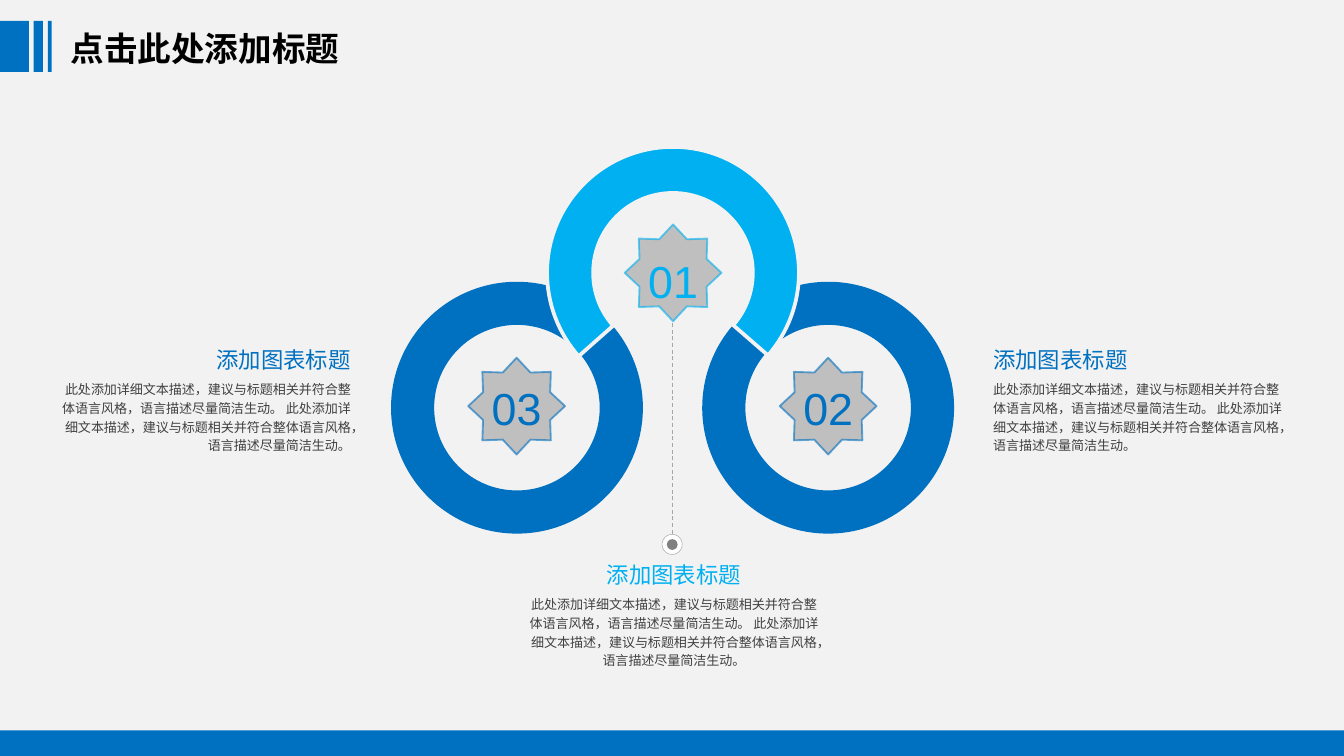
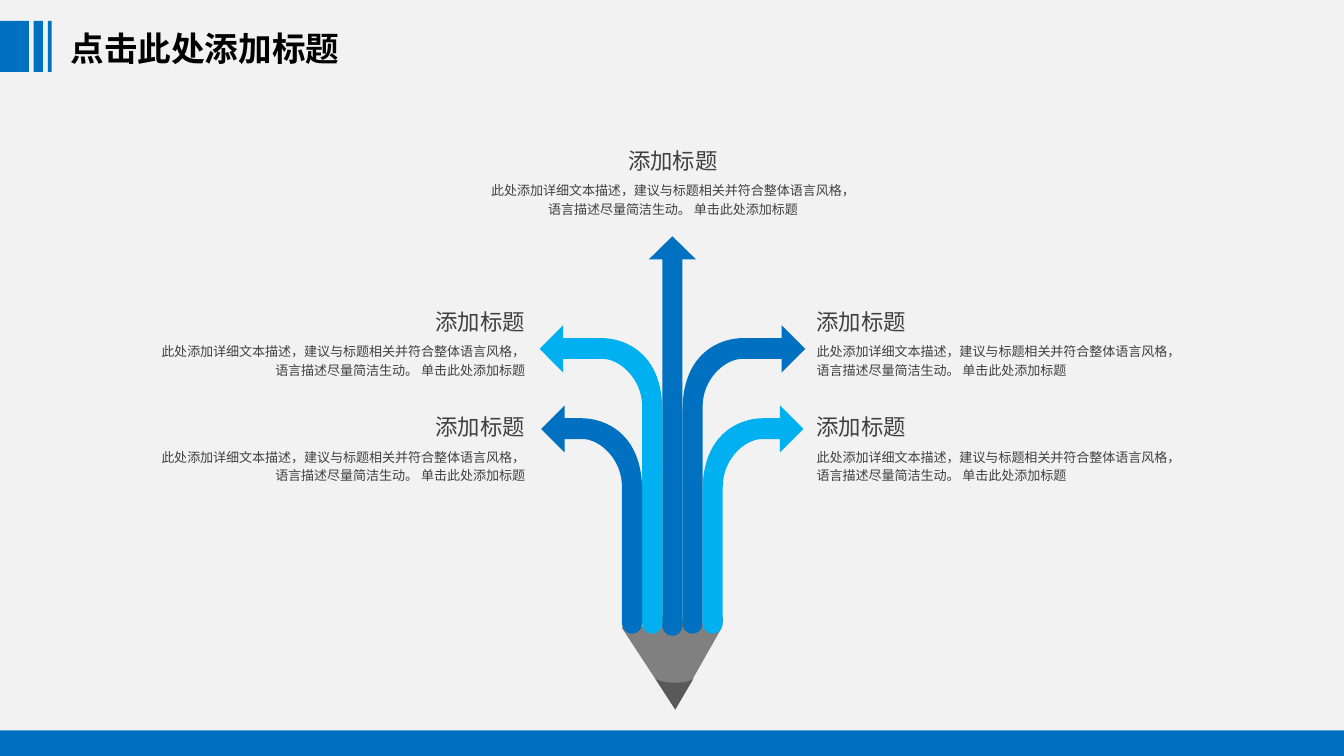
import math

from pptx import Presentation
from pptx import util as u
from pptx.dml import color as colors
from pptx.enum import dml, shapes, text
from pptx.oxml import ns
from lxml import etree

PX = 9144  # EMU per px, 100 px to the inch
WIDTH, HEIGHT = 1000, 562.5
MIDDLE = 500.3
FONT = "Arial"
BLUE, SKY = "0070C0", "00B0F0"
PAPER, BLACK, WHITE = "F2F2F2", "000000", "FFFFFF"
SILVER, RULE, GREY, LEAD, INK = "BFBFBF", "A6A6A6", "808080", "595959", "404040"
LEFT, CENTER, RIGHT = text.PP_ALIGN.LEFT, text.PP_ALIGN.CENTER, text.PP_ALIGN.RIGHT

TITLE = "点击此处添加标题"
DETAIL = "此处添加详细文本描述，建议与标题相关并符合整体语言风格，语言描述尽量简洁生动。"


def emu(px):
    return u.Emu(round(px * PX))


def paint(target, value):
    """Give a fill or line fill a solid colour."""
    target.solid()
    target.fore_color.rgb = colors.RGBColor.from_string(value)


def write(box, words, *, size, color, bold=False, align=LEFT, spacing=None,
          before=0, inset=(5, 5)):
    frame = box.text_frame
    frame.word_wrap = True
    frame.auto_size = text.MSO_AUTO_SIZE.SHAPE_TO_FIT_TEXT
    frame.vertical_anchor = text.MSO_ANCHOR.TOP
    frame.margin_left = frame.margin_right = emu(inset[0])
    frame.margin_top = frame.margin_bottom = emu(inset[1])
    para = frame.paragraphs[0]
    para.alignment = align
    para.space_before = u.Pt(before)
    if spacing:
        para.line_spacing = spacing
    span = para.add_run()
    span.text = words
    span.font.name, span.font.size, span.font.bold = FONT, u.Pt(size), bold
    paint(span.font.fill, color)


# Outlines: steps are points (x, y) or Bezier curves (x1, y1, x2, y2, x, y)

def arc(cx, cy, radius, start, end):
    """Steps round a circle, degrees clockwise from the right, cut at the quadrants."""
    low, high = sorted((start, end))
    cuts = [a for a in range(-450, 451, 90) if low < a < high]
    stops = sorted([start, *cuts, end], reverse=start > end)

    def spot(angle, pull=0):
        a = math.radians(angle)
        return (cx + radius * (math.cos(a) - pull * math.sin(a)),
                cy + radius * (math.sin(a) + pull * math.cos(a)))

    steps = [spot(start)]
    for here, there in zip(stops, stops[1:]):
        pull = 4 / 3 * math.tan(math.radians(there - here) / 4)
        steps.append(spot(here, pull) + spot(there, -pull) + spot(there))
    return steps


def bounds(steps):
    """Left, top, right and bottom of the drawn outline."""
    points = []
    for step in steps:
        if len(step) == 6:
            nodes = (points[-1], step[:2], step[2:4], step[4:])
            for t in (i / 20 for i in range(1, 20)):
                weights = ((1 - t) ** 3, 3 * t * (1 - t) ** 2, 3 * t * t * (1 - t), t ** 3)
                points.append([sum(w * node[axis] for w, node in zip(weights, nodes))
                               for axis in (0, 1)])
        points.append(step[-2:])
    xs, ys = zip(*points)
    return min(xs), min(ys), max(xs), max(ys)


class Sheet:
    """Holds the deck's style and the current slide."""

    def __init__(self):
        self.deck = Presentation()
        self.deck.slide_width, self.deck.slide_height = emu(WIDTH), emu(HEIGHT)
        self.page = None

    def new_page(self, title):
        self.page = self.deck.slides.add_slide(self.deck.slide_layouts[5])
        paint(self.page.background.fill, PAPER)
        box = self.page.shapes.title
        box.left, box.top, box.width, box.height = map(emu, (45.5, 16.5, 217, 38))
        write(box, title, size=18, color=BLACK, bold=True, inset=(7, 4))
        for left, width in ((0, 21.5), (25, 7), (35.6, 3)):
            self.preset("RECTANGLE", left, 15.6, width, 38, BLUE)
        self.preset("RECTANGLE", 0, 543.5, WIDTH, 19, BLUE)

    def style(self, shape, fill, line=None, weight=1, opacity=100):
        shape.shadow.inherit = False
        paint(shape.fill, fill)
        if not line:
            shape.line.fill.background()
            return
        paint(shape.line.fill, line)
        shape.line.width = u.Pt(weight)
        if opacity < 100:
            tint = shape._element.spPr.find(ns.qn("a:ln")).find(".//" + ns.qn("a:srgbClr"))
            etree.SubElement(tint, ns.qn("a:alpha")).set("val", str(opacity * 1000))

    def preset(self, kind, left, top, width, height, fill, **line):
        shape = self.page.shapes.add_shape(
            getattr(shapes.MSO_SHAPE, kind), *map(emu, (left, top, width, height)))
        self.style(shape, fill, **line)

    def outline(self, steps, fill, **line):
        left, top, right, bottom = bounds(steps)
        builder = self.page.shapes.build_freeform(emu(left), emu(top), scale=1.0)
        builder.add_line_segments([(emu(right), emu(bottom))])
        shape = builder.convert_to_shape()
        # Swap the diagonal for the real steps, curves included
        track = shape._element.spPr.find(".//" + ns.qn("a:path"))
        for child in list(track):
            track.remove(child)
        for i, step in enumerate(steps):
            tag = "a:cubicBezTo" if len(step) == 6 else "a:lnTo" if i else "a:moveTo"
            move = etree.SubElement(track, ns.qn(tag))
            for x, y in zip(step[::2], step[1::2]):
                point = etree.SubElement(move, ns.qn("a:pt"))
                point.set("x", str(emu(x - left)))
                point.set("y", str(emu(y - top)))
        etree.SubElement(track, ns.qn("a:close"))
        self.style(shape, fill, **line)

    def words(self, left, top, width, height, content, **form):
        box = self.page.shapes.add_textbox(*map(emu, (left, top, width, height)))
        write(box, content, **form)

    def caption(self, left, top, width, height, head, body, align, color=INK):
        self.words(left, top, width, 31, head, size=12, color=color, align=align, before=2)
        self.words(left, top + 24, width, height, body, size=7, color=INK,
                   align=align, spacing=1.2, before=1)

    def dashes(self, x, top, bottom):
        line = self.page.shapes.add_connector(
            shapes.MSO_CONNECTOR.STRAIGHT, *map(emu, (x, bottom, x, top)))
        paint(line.line.fill, RULE)
        line.line.width = u.Pt(0.5)
        line.line.dash_style = dml.MSO_LINE.DASH
        etree.SubElement(line._element.spPr, ns.qn("a:effectLst"))

    def ring(self, cx, cy, outer, inner, start, end, fill, **line):
        self.outline(arc(cx, cy, outer, start, end) + arc(cx, cy, inner, end, start),
                     fill, **line)

    def badge(self, cx, cy, number, color, label_top):
        self.preset("STAR_8_POINT", cx - 36, cy - 36, 72, 72, SILVER,
                    line=color, opacity=60)
        self.words(cx - 36, label_top, 72, 61, number, size=24, color=color,
                   align=CENTER, spacing=1.4)

    def bent_arrow(self, side, near, tip, y, fill):
        """Strand that rises and bends outward; near and tip count from the middle."""
        def place(*step):
            return tuple(v if i % 2 else MIDDLE + side * v for i, v in enumerate(step))

        far, neck, top, low = near + 15, tip - 17.5, y - 8, y + 7.5
        cap = [place(*step) for step in arc(near + 7.5, 464, 7.5, 180, 0)]
        self.outline([
            place(tip, y), place(neck, y - 17.5), place(neck, top), place(near + 45, top),
            place(near + 28, top, near, top + 11, near, top + 54),
            *cap, place(far, top + 51),
            place(far, top + 30, near + 32, low, near + 44, low),
            place(neck, low), place(neck, y + 17.5)], fill)


def rings_page(sheet):
    sheet.new_page(TITLE)
    # Lower rings
    for cx, star, number, start, end in ((384.7, 384.4, "03", -47, -401.5),
                                         (616.2, 616.2, "02", -133, 221.5)):
        sheet.ring(cx, 303.4, 93.7, 61.6, start, end, BLUE)
        sheet.badge(star, 302.2, number, BLUE, 262)
    # Captions
    for left, top, align, color in ((388, 412.6, CENTER, SKY), (734, 252.6, LEFT, BLUE),
                                    (39, 252.6, RIGHT, BLUE)):
        sheet.caption(left, top, 227, 67, "添加图表标题", DETAIL + " " + DETAIL, align, color)
    # Pin
    sheet.preset("OVAL", 492.6, 397.6, 15, 15, WHITE, line=RULE, weight=0.25)
    sheet.preset("OVAL", 496.2, 401.2, 8, 8, GREY)
    sheet.dashes(MIDDLE, 239, 397)
    # Upper ring
    sheet.ring(500.8, 203, 93.7, 59.4, 138.5, 401, SKY, line=PAPER, weight=2)
    sheet.badge(500.8, 203, "01", SKY, 168)


def pencil_page(sheet):
    sheet.new_page(TITLE)
    # Wood and lead
    sheet.outline([
        (480, 466), (480, 466, 491, 457, 498, 458), (506, 459, 518, 467, 520, 466),
        (523, 465, 530, 458, 533, 458), (536, 458, 541, 457, 536, 469),
        (502.6, 528), (462.6, 467)], GREY)
    sheet.outline([
        (487.6, 505), (502.4, 528), (516, 505), (514, 507, 509, 508, 502, 508),
        (496, 508, 490, 507, 487.6, 505)], LEAD)
    # Strands
    sheet.outline(
        [(MIDDLE - 7.5, 193), (MIDDLE - 17.5, 193), (MIDDLE, 175.8), (MIDDLE + 17.5, 193),
         (MIDDLE + 7.5, 193)] + arc(MIDDLE, 465.6, 7.5, 0, 180), BLUE)
    for side, upper, lower in ((-1, SKY, BLUE), (1, BLUE, SKY)):
        sheet.bent_arrow(side, 7.5, 98.8, 259.6, upper)
        sheet.bent_arrow(side, 22.5, 97.6, 319.2, lower)
    # Captions
    spots = [(left, top, align) for left, align in ((602.6, LEFT), (114.6, RIGHT))
             for top in (302.8, 224.2)]
    for left, top, align in spots + [(360.2, 104.4, CENTER)]:
        sheet.caption(left, top, 281, 38, "添加标题", DETAIL + " 单击此处添加标题", align)


def main():
    sheet = Sheet()
    rings_page(sheet)
    pencil_page(sheet)
    sheet.deck.save("out.pptx")


if __name__ == "__main__":
    main()
